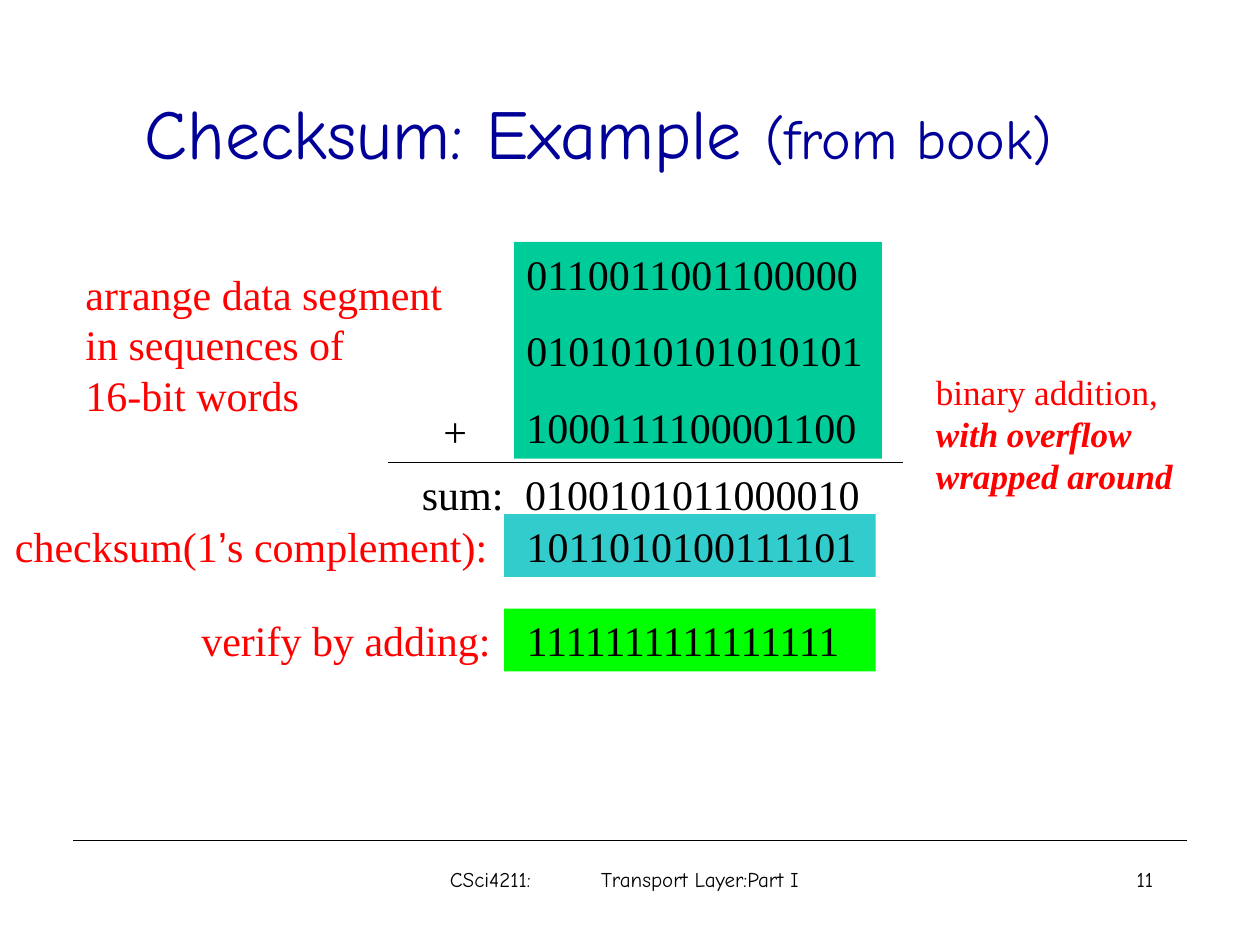
from dataclasses import dataclass
from typing import Optional

import lxml.etree
import pptx
import pptx.dml.color
import pptx.enum.shapes
import pptx.enum.text
import pptx.oxml.ns
import pptx.util

Inches = pptx.util.Inches
Align = pptx.enum.text.PP_ALIGN
Anchor = pptx.enum.text.MSO_ANCHOR
qn = pptx.oxml.ns.qn


@dataclass(frozen=True)
class Theme:
    black: str = "000000"
    navy: str = "000099"
    red: str = "FF0000"
    words_fill: str = "00CC99"
    checksum_fill: str = "33CCCC"
    verify_fill: str = "00FF00"
    display: str = "Comic Neue"
    body: str = "Times New Roman"
    quote: str = "Arial"
    title_size: int = 40
    subtitle_size: int = 32
    body_size: int = 24
    note_size: int = 20
    footer_size: int = 12
    line_width: float = 0.74


THEME = Theme()


@dataclass(frozen=True)
class Run:
    text: str
    font: str = THEME.body
    size: int = THEME.body_size
    color: str = THEME.black
    strong: bool = False


@dataclass(frozen=True)
class Block:
    box: tuple[float, float, float, float]
    lines: list[list[Run]]
    fill: Optional[str] = None
    align: Align = Align.LEFT
    wrap: bool = True
    before: float = 0
    inset: float = 0.1
    tab: Optional[float] = None


@dataclass(frozen=True)
class Rule:
    left: float
    right: float
    y: float


def rgb(value: str) -> pptx.dml.color.RGBColor:
    return pptx.dml.color.RGBColor.from_string(value)


def set_all(target, values: dict) -> None:
    for name, value in values.items():
        setattr(target, name, value)


def write_runs(paragraph, runs: list[Run]) -> None:
    for run in runs:
        written = paragraph.add_run()
        written.text = run.text
        set_all(written.font, {"name": run.font, "size": pptx.util.Pt(run.size),
                               "bold": run.strong, "italic": run.strong})
        written.font.color.rgb = rgb(run.color)


def add_tab_stop(paragraph, position: float) -> None:
    properties = paragraph._p.get_or_add_pPr()
    stops = lxml.etree.SubElement(properties, qn("a:tabLst"))
    lxml.etree.SubElement(stops, qn("a:tab"), pos=str(Inches(position)), algn="l")


def draw_block(slide, block: Block) -> None:
    box = [Inches(length) for length in block.box]
    if block.fill:
        area = slide.shapes.add_shape(pptx.enum.shapes.MSO_SHAPE.RECTANGLE, *box)
        area.shadow.inherit = False
        area.fill.solid()
        area.fill.fore_color.rgb = rgb(block.fill)
        area.line.fill.background()
    else:
        area = slide.shapes.add_textbox(*box)
    frame = area.text_frame
    set_all(frame, {"word_wrap": block.wrap, "vertical_anchor": Anchor.TOP,
                    "margin_left": Inches(block.inset), "margin_right": Inches(0.1),
                    "margin_top": Inches(0.05), "margin_bottom": Inches(0.05)})
    for index, runs in enumerate(block.lines):
        paragraph = frame.add_paragraph() if index else frame.paragraphs[0]
        set_all(paragraph, {"alignment": block.align,
                            "space_before": pptx.util.Pt(block.before)})
        if block.tab:
            add_tab_stop(paragraph, block.tab)
        write_runs(paragraph, runs)


def draw_rule(slide, rule: Rule) -> None:
    line = slide.shapes.add_connector(
        pptx.enum.shapes.MSO_CONNECTOR.STRAIGHT,
        Inches(rule.left), Inches(rule.y), Inches(rule.right), Inches(rule.y))
    line.line.color.rgb = rgb(THEME.black)
    line.line.width = pptx.util.Pt(THEME.line_width)
    lxml.etree.SubElement(line._element.spPr, qn("a:effectLst"))


def red(text: str, **style) -> Run:
    return Run(text, color=THEME.red, **style)


def footer(text: str) -> list[list[Run]]:
    return [[Run(text, THEME.display, THEME.footer_size)]]


def result_row(top: float, label_left: float, label: list[Run],
               bits: str, fill: str) -> list[Block]:
    """A red label beside a filled row of bits."""
    return [Block((label_left, top, 4 - label_left, 0.5), [label], wrap=False),
            Block((4, top, 2.95, 0.5), [[Run(bits)]], fill, wrap=False, inset=0.18)]


presentation = pptx.Presentation()
set_all(presentation, {"slide_width": Inches(10), "slide_height": Inches(7.5)})
slide = presentation.slides.add_slide(presentation.slide_layouts[5])

# Title
title = slide.shapes.title
set_all(title, {"left": Inches(0.5), "top": Inches(0.42),
                "width": Inches(8.5), "height": Inches(1.25)})
title.text_frame.vertical_anchor = Anchor.MIDDLE
heading = title.text_frame.paragraphs[0]
heading.alignment = Align.CENTER
write_runs(heading, [
    Run("Checksum: Example ", THEME.display, THEME.title_size, THEME.navy),
    Run("(from book)", THEME.display, THEME.subtitle_size, THEME.navy)])

# Rules above the footer and above the sum
for rule in (Rule(0.58, 9.42, 6.67), Rule(3.08, 7.17, 3.67)):
    draw_rule(slide, rule)

words = ["0110011001100000", "0101010101010101", "1000111100001100"]
arrange_lines = ["arrange data segment", "in sequences of", "16-bit words"]
note = THEME.note_size

blocks = [
    # Footer
    Block((3.33, 6.83, 3.25, 0.5), footer("CSci4211:\tTransport Layer:Part I"),
          inset=0.24, tab=1.2),
    Block((7.17, 6.83, 2.08, 0.5), footer("11"), align=Align.RIGHT),
    # Addition
    Block((3.42, 3.17, 0.42, 0.5), [[Run("+")]], before=15),
    Block((3.25, 3.67, 4.17, 0.5), [[Run("sum:\t0100101011000010")]],
          before=15, tab=0.82),
    # Checksum and check
    *result_row(4.08, 0.02,
                [red("checksum(1"), red("’", font=THEME.quote), red("s complement):")],
                "1011010100111101", THEME.checksum_fill),
    *result_row(4.83, 1.5, [red("verify by adding:")],
                "1111111111111111", THEME.verify_fill),
    # Data words and notes
    Block((4.08, 1.92, 2.92, 1.72), [[Run(word)] for word in words],
          THEME.words_fill, before=15),
    Block((0.58, 2.08, 3.03, 1.3), [[red(line)] for line in arrange_lines], wrap=False),
    Block((7.33, 2.89, 2.08, 1.1),
          [[red("binary addition,", size=note)],
           [red("with overflow", size=note, strong=True)],
           [red("wrapped around", size=note, strong=True)]], wrap=False),
]
for block in blocks:
    draw_block(slide, block)

presentation.save("out.pptx")
